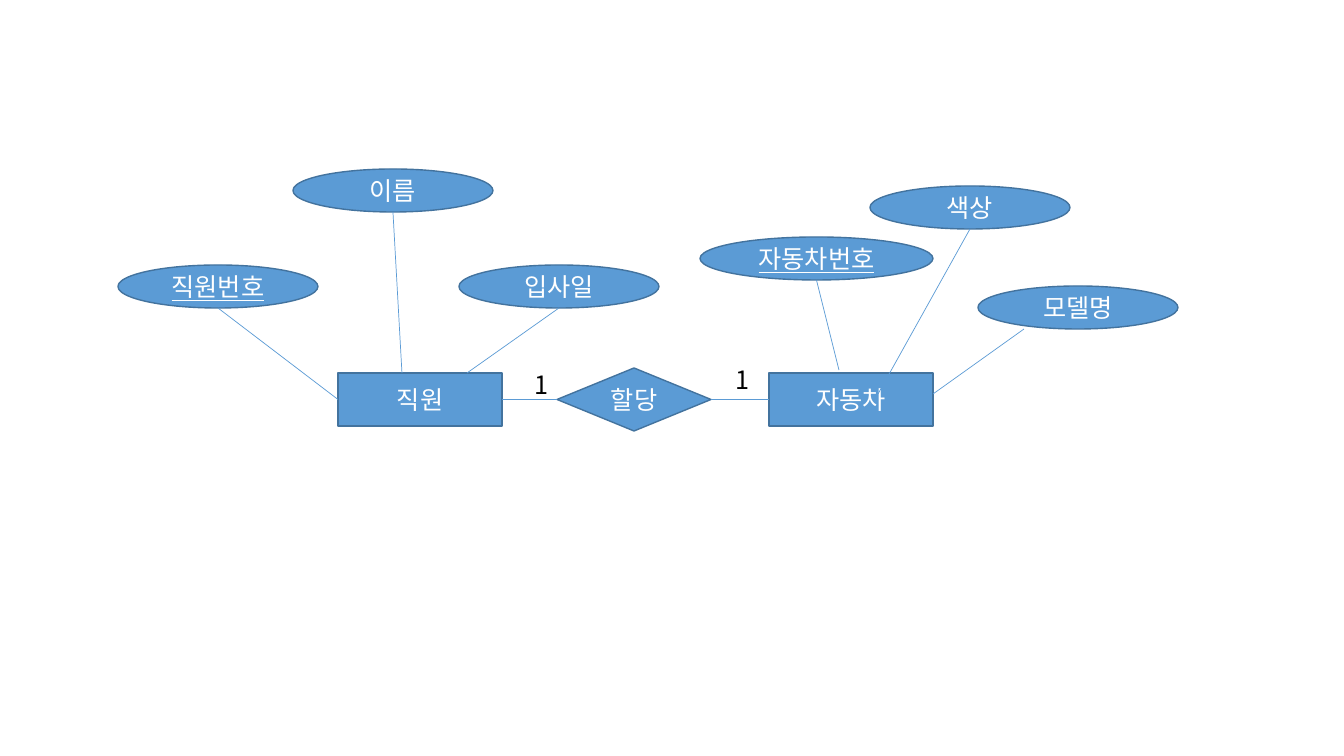
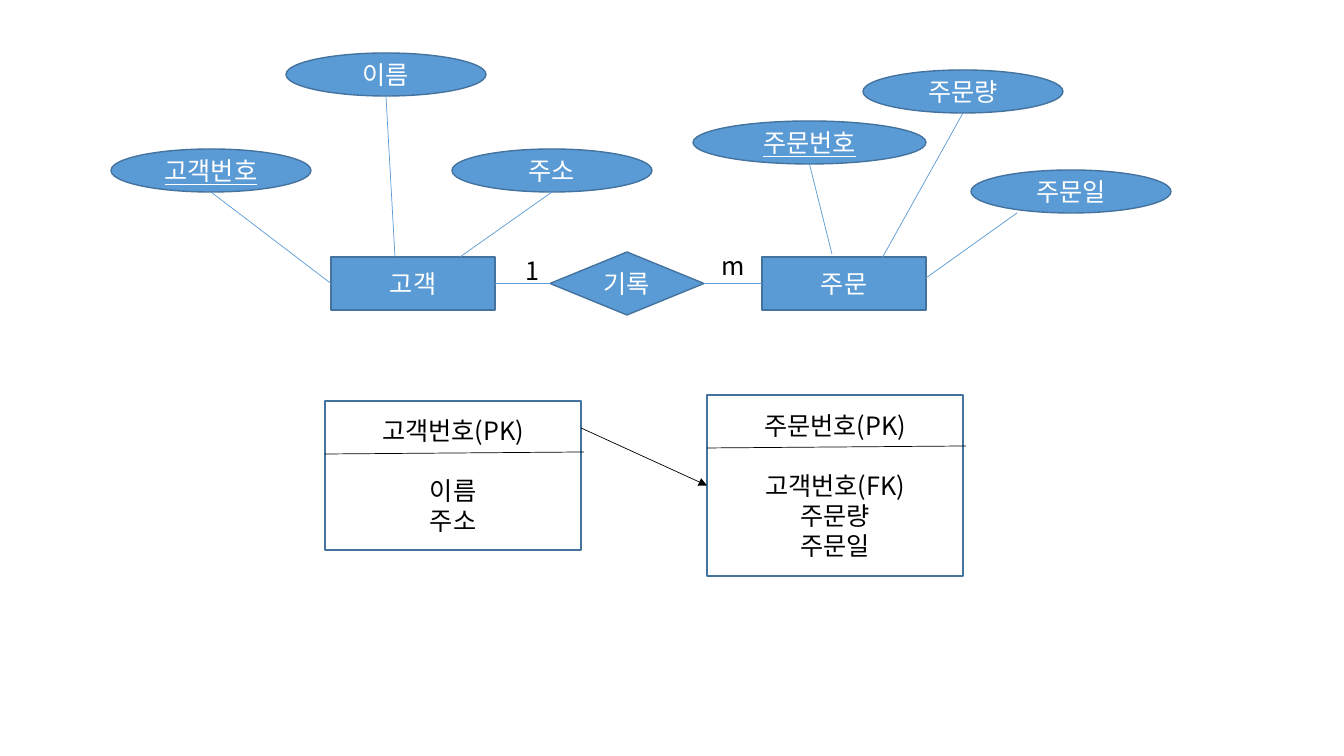
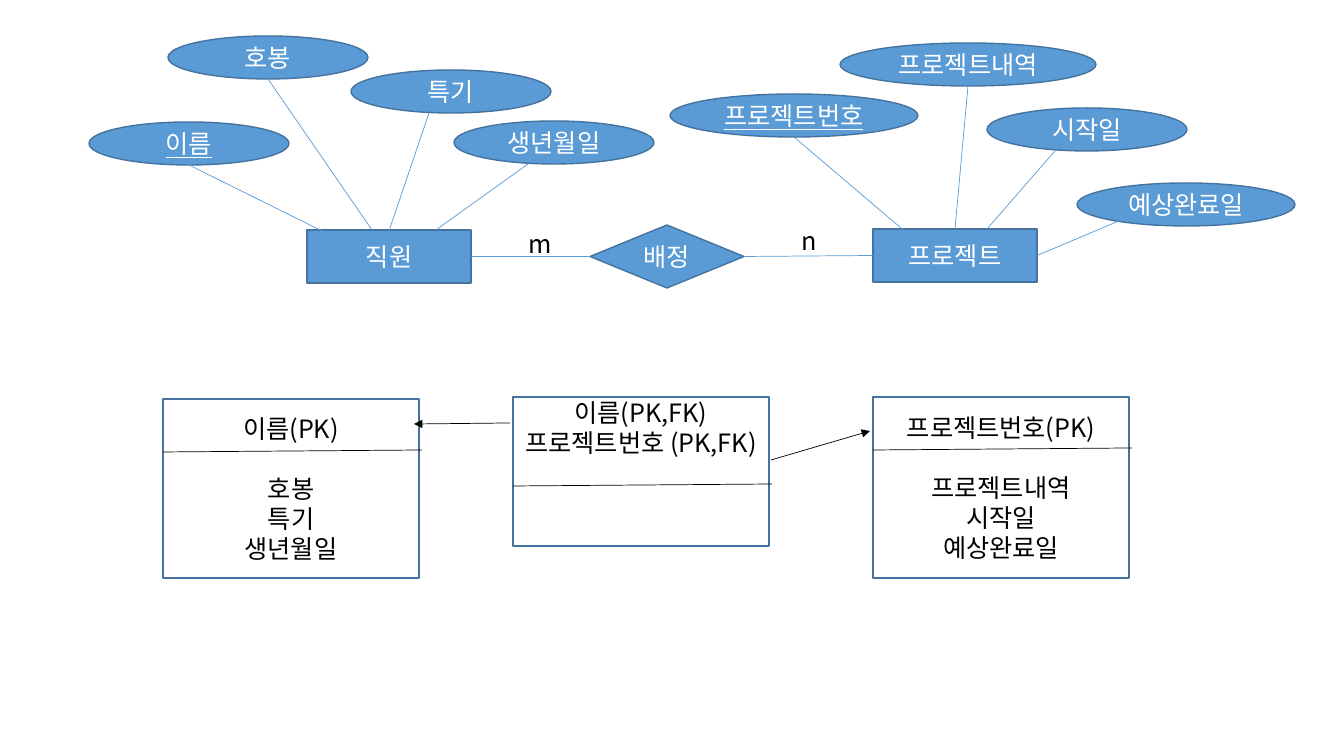
from lxml.etree import SubElement
from pptx import Presentation
from pptx.dml.color import RGBColor
from pptx.enum.shapes import MSO_CONNECTOR, MSO_SHAPE
from pptx.enum.text import MSO_ANCHOR, MSO_AUTO_SIZE, PP_ALIGN
from pptx.oxml.ns import qn
from pptx.util import Emu, Pt

# Shared look, lengths in px
SLIDE_W, SLIDE_H = 1344, 756
SCALE = 12192000 / SLIDE_W
FONT, TEXT_SIZE = "Noto Sans CJK KR", 18
BLUE, EDGE, WHITE, BLACK = "5B9BD5", "43739E", "FFFFFF", "000000"
ENTITY_W, ENTITY_H = 164, 53
OVAL_W, OVAL_H = 200, 43
DIAMOND_W, DIAMOND_H = 154, 63
TABLE_W, RULE_W, RULE_TILT = 256, 259, 2
LABEL_H = 40
BLANK_LINE = 21.4  # points
TOP, LEFT, RIGHT = 0, 1, 3

# Diagram with two three-attribute entities, used by two slides.
# Attribute: x, y, width, entity index, line end (side or point), line start shift
ENTITIES_3 = [(338, 373), (769, 373)]
DIAMOND_3 = (557, 368)
ATTRIBUTES_3 = [
    (118, 265, OVAL_W, 0, LEFT, (0, 0)),
    (293, 169, OVAL_W, 0, (402, 373), (0, 0)),
    (459, 265, OVAL_W, 0, (467, 373), (0, 0)),
    (700, 237, 233, 1, (839, 370), (0, 0)),
    (870, 186, OVAL_W, 1, (878, 394), (0, 0)),
    (978, 286, OVAL_W, 1, (933, 394), (-54, 0)),
]
ENTITIES_4 = [(307, 230), (873, 229)]
DIAMOND_4 = (590, 225)
ATTRIBUTES_4 = [
    (89, 122, OVAL_W, 0, (328, 234), (0, 0)),
    (168, 36, OVAL_W, 0, (372, 230), (0, 0)),
    (351, 70, OVAL_W, 0, (388, 234), (-22, 0)),
    (454, 121, OVAL_W, 0, (436, 230), (-26, 0)),
    (670, 94, 248, 1, (908, 234), (0, 0)),
    (840, 43, 256, 1, TOP, (0, 0)),
    (987, 108, OVAL_W, 1, (987, 229), (-32, 0)),
    (1077, 183, 218, 1, RIGHT, (-60, -8)),
]

# Content: the key attributes are underlined.
# Table: x, y, height, rule drop, key lines, other lines
# Arrow: start point, end point or index of the table whose left side it meets
SLIDES = [
    dict(
        layout=(ENTITIES_3, DIAMOND_3, ATTRIBUTES_3), shift=(0, 0),
        entities=["직원", "자동차"], relation="할당",
        attributes=["직원번호", "이름", "입사일", "자동차번호", "색상", "모델명"],
        keys=["직원번호", "자동차번호"],
        labels=[("1", 525, 364, 34), ("1", 726, 359, 34)],
        tables=[], arrows=[],
    ),
    dict(
        layout=(ENTITIES_3, DIAMOND_3, ATTRIBUTES_3), shift=(-7, -116),
        entities=["고객", "주문"], relation="기록",
        attributes=["고객번호", "이름", "주소", "주문번호", "주문량", "주문일"],
        keys=["고객번호", "주문번호"],
        labels=[("1", 516, 250, 34), ("m", 712, 245, 42)],
        tables=[
            (325, 401, 149, 53, ["고객번호(PK)"], ["이름", "주소"]),
            (707, 395, 181, 53, ["주문번호(PK)"], ["고객번호(FK)", "주문량", "주문일"]),
        ],
        arrows=[((581, 428), 1)],
    ),
    dict(
        layout=(ENTITIES_4, DIAMOND_4, ATTRIBUTES_4), shift=(0, 0),
        entities=["직원", "프로젝트"], relation="배정",
        attributes=["이름", "호봉", "특기", "생년월일",
                    "프로젝트번호", "프로젝트내역", "시작일", "예상완료일"],
        keys=["이름", "프로젝트번호"],
        labels=[("m", 519, 223, 42), ("n", 792, 220, 35)],
        tables=[
            (163, 399, 179, 53, ["이름(PK)"], ["호봉", "특기", "생년월일"]),
            (873, 397, 181, 53, ["프로젝트번호(PK)"],
             ["프로젝트내역", "시작일", "예상완료일"]),
            (513, 397, 149, 89, ["이름(PK,FK)", "프로젝트번호 (PK,FK)"], []),
        ],
        arrows=[((771, 460), (870, 431)), ((510, 423), (414, 424))],
    ),
]


def px(*lengths):
    return [Emu(round(length * SCALE)) for length in lengths]


def color(hex_code):
    return RGBColor.from_string(hex_code)


def write(frame, lines, hex_code, align=PP_ALIGN.CENTER, underline=None):
    """Fill a text frame with one paragraph per line."""
    frame.text = "\n".join(lines)
    for paragraph in frame.paragraphs:
        paragraph.alignment = align
        font = paragraph.font
        font.size = Pt(TEXT_SIZE)
        font.underline = underline
        font.color.rgb = color(hex_code)
        font.name = FONT
        SubElement(font._element, qn("a:ea"), typeface=FONT)


def add_box(slide, kind, box, lines, fill=BLUE, ink=WHITE, underline=None):
    shape = slide.shapes.add_shape(kind, *px(*box))
    shape.shadow.inherit = False
    if fill:
        shape.fill.solid()
        shape.fill.fore_color.rgb = color(fill)
    else:
        shape.fill.background()
    shape.line.color.rgb = color(EDGE)
    shape.line.width = Pt(1)
    shape.text_frame.vertical_anchor = MSO_ANCHOR.MIDDLE
    write(shape.text_frame, lines, ink, underline=underline)
    return shape


def add_line(slide, start, end, hex_code=BLUE, arrow=False):
    """Each end is a point in px or a (shape, side) pair to join."""
    ends = [(0, 0) if hasattr(place[0], "shape_id") else place for place in (start, end)]
    line = slide.shapes.add_connector(MSO_CONNECTOR.STRAIGHT, *px(*ends[0], *ends[1]))
    for place, join in ((start, line.begin_connect), (end, line.end_connect)):
        if hasattr(place[0], "shape_id"):
            join(*place)
    line.line.color.rgb = color(hex_code)
    line.line.width = Pt(0.5)
    properties = line._element.spPr
    if arrow:
        SubElement(properties.find(qn("a:ln")), qn("a:tailEnd"), type="triangle")
    SubElement(properties, qn("a:effectLst"))


def add_diagram(slide, content):
    """Entities, their attributes and the relation between them."""
    places, diamond, ovals = content["layout"]
    dx, dy = content["shift"]
    entities = [
        add_box(slide, MSO_SHAPE.RECTANGLE, (x + dx, y + dy, ENTITY_W, ENTITY_H), [name])
        for name, (x, y) in zip(content["entities"], places)
    ]
    for name, (x, y, width, owner, end, nudge) in zip(content["attributes"], ovals):
        x, y = x + dx, y + dy
        add_box(slide, MSO_SHAPE.OVAL, (x, y, width, OVAL_H), [name],
                underline=True if name in content["keys"] else None)
        start = (x + width / 2 + nudge[0], y + OVAL_H + nudge[1])
        if isinstance(end, int):
            add_line(slide, start, (entities[owner], end))
        else:
            add_line(slide, start, (end[0] + dx, end[1] + dy))
    relation = add_box(slide, MSO_SHAPE.DIAMOND,
                       (diamond[0] + dx, diamond[1] + dy, DIAMOND_W, DIAMOND_H),
                       [content["relation"]])
    add_line(slide, (entities[0], RIGHT), (relation, LEFT))
    add_line(slide, (relation, RIGHT), (entities[1], LEFT))
    for text, x, y, width in content["labels"]:
        label = slide.shapes.add_textbox(*px(x, y, width, LABEL_H)).text_frame
        label.word_wrap = False
        label.auto_size = MSO_AUTO_SIZE.SHAPE_TO_FIT_TEXT
        write(label, [text], BLACK, align=PP_ALIGN.LEFT)


def add_schema(slide, content):
    """Outlined tables with a rule under the keys, then the reference arrows."""
    tables = []
    for x, y, height, drop, keys, others in content["tables"]:
        table = add_box(slide, MSO_SHAPE.RECTANGLE, (x, y, TABLE_W, height),
                        keys + others, fill=None, ink=BLACK)
        frame = table.text_frame
        if others:
            frame.paragraphs[len(keys)].space_before = Pt(BLANK_LINE)
        else:
            frame.vertical_anchor = MSO_ANCHOR.TOP
            frame.margin_top = 0
        add_line(slide, (x, y + drop), (x + RULE_W, y + drop - RULE_TILT), BLACK)
        tables.append(table)
    for start, end in content["arrows"]:
        target = (tables[end], LEFT) if isinstance(end, int) else end
        add_line(slide, start, target, BLACK, arrow=True)


def main():
    deck = Presentation()
    deck.slide_width, deck.slide_height = px(SLIDE_W, SLIDE_H)
    blank = deck.slide_layouts[6]
    for content in SLIDES:
        slide = deck.slides.add_slide(blank)
        add_diagram(slide, content)
        add_schema(slide, content)
    deck.save("out.pptx")


if __name__ == "__main__":
    main()
